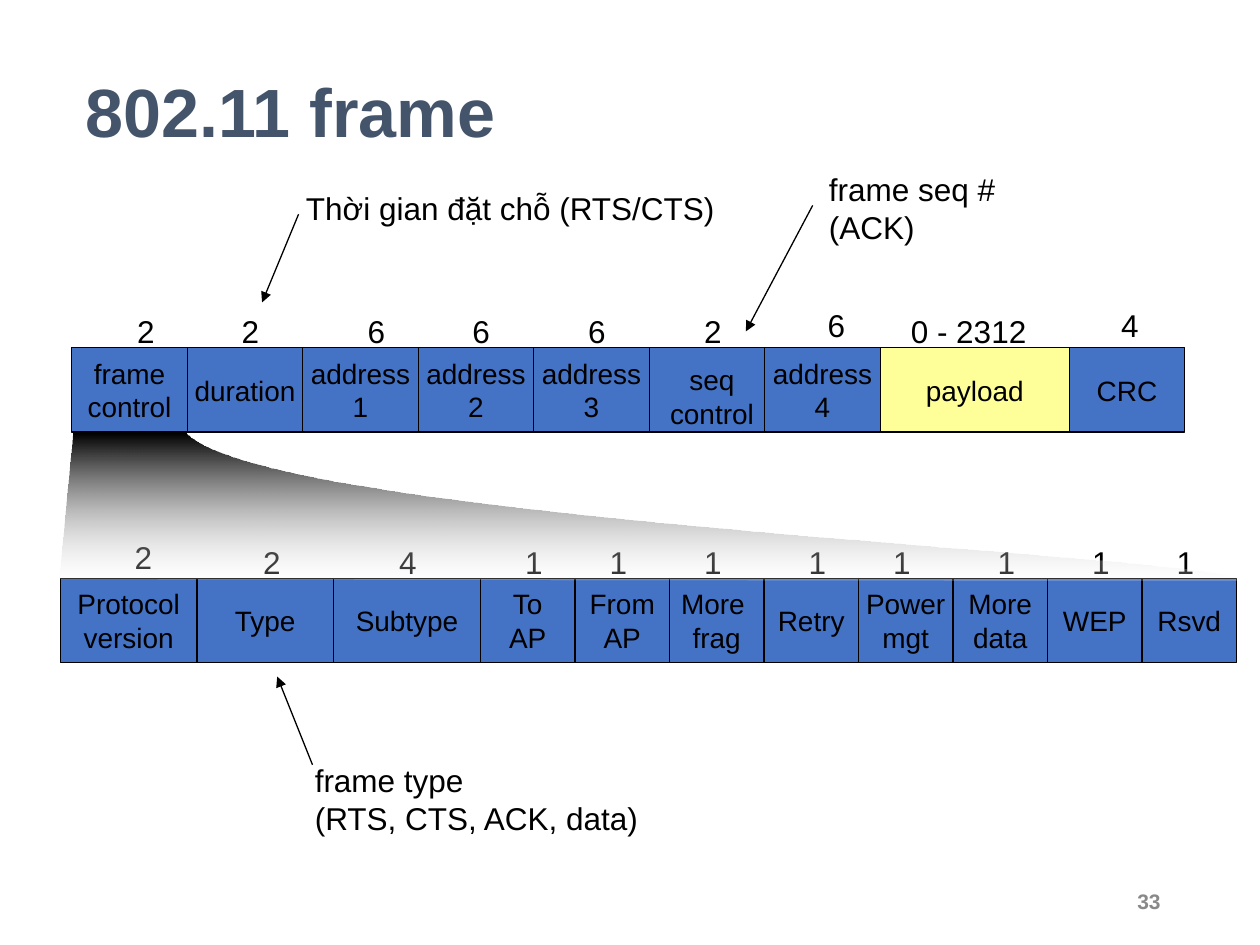
"""Build a slide on the fields of the 802.11 frame."""
from lxml import etree
from pptx import Presentation
from pptx import util as u
from pptx.dml.color import RGBColor
from pptx.enum import shapes, text
from pptx.oxml.ns import qn

Inches = u.Inches
BLUE, CREAM, BLACK = "4472C4", "FFFF99", "000000"
LEFT, MID, RIGHT = text.PP_ALIGN.LEFT, text.PP_ALIGN.CENTER, text.PP_ALIGN.RIGHT


def tint(code):
    return RGBColor.from_string(code)


def write(shape, words, size=18, align=LEFT, ink=BLACK, bold=False, wrap=False, anchor="TOP"):
    frame = shape.text_frame
    frame.text = words
    frame.word_wrap = wrap
    frame.vertical_anchor = text.MSO_ANCHOR[anchor]
    if anchor == "TOP":
        frame.auto_size = text.MSO_AUTO_SIZE.SHAPE_TO_FIT_TEXT
    for para in frame.paragraphs:
        para.alignment = align
        for run in para.runs:
            run.font.name = "Arial"
            run.font.size = u.Pt(size)
            run.font.bold = bold
            run.font.color.rgb = tint(ink)


deck = Presentation()
deck.slide_width, deck.slide_height = Inches(10), Inches(7.5)
slide = deck.slides.add_slide(deck.slide_layouts[6])

page = slide.shapes.add_textbox(Inches(7.06), Inches(6.95), Inches(2.25), Inches(0.4))
write(page, "33", 12, RIGHT, "898989", True, True, "MIDDLE")

WIDE = 11 / 12
frame_row = [
    ("frame\ncontrol", WIDE, "2", 0.99, 2.43),
    ("duration", WIDE, "2", 1.82, 2.43),
    ("address\n1", WIDE, "6", 2.82, 2.43),
    ("address\n2", WIDE, "6", 3.65, 2.43),
    ("address\n3", WIDE, "6", 4.57, 2.43),
    ("", WIDE, "2", 5.49, 2.43),
    ("address\n4", WIDE, "6", 6.47, 2.38),
    ("payload", 1.5, "0 - 2312", 7.13, 2.43),
    ("CRC", WIDE, "4", 8.8, 2.38),
]
control_row = [
    ("Protocol\nversion", 13 / 12, "2", 0.97, 4.22),
    ("Type", 13 / 12, "2", 1.99, 4.26),
    ("Subtype", 14 / 12, "4", 3.07, 4.26),
    ("To\nAP", 0.75, "1", 4.07, 4.26),
    ("From\nAP", 0.75, "1", 4.74, 4.26),
    ("More \nfrag", 0.75, "1", 5.49, 4.26),
    ("Retry", 0.75, "1", 6.32, 4.26),
    ("Power\nmgt", 0.75, "1", 6.99, 4.26),
    ("More\ndata", 0.75, "1", 7.82, 4.26),
    ("WEP", 0.75, "1", 8.57, 4.26),
    ("Rsvd", 0.75, "1", 9.24, 4.26),
]
for left, top, row in [(0.57, 2.76, frame_row), (0.48, 4.59, control_row)]:
    group = slide.shapes.add_group_shape()
    for name, width, size, x, y in row:
        cell = group.shapes.add_shape(
            shapes.MSO_SHAPE.RECTANGLE, Inches(left), Inches(top), Inches(width), Inches(0.67))
        cell.shadow.inherit = False
        cell.fill.solid()
        cell.fill.fore_color.rgb = tint(CREAM if name == "payload" else BLUE)
        cell.line.color.rgb = tint(BLACK)
        cell.line.width = u.Pt(0.75)
        if name:
            write(cell, name, 16, MID, anchor="MIDDLE")
        else:
            label = group.shapes.add_textbox(Inches(5.19), Inches(2.83), Inches(0.92), Inches(0.64))
            write(label, "seq\ncontrol", 16, MID)
        count = group.shapes.add_textbox(
            Inches(x), Inches(y), Inches(1.15 if len(size) > 1 else 0.34), Inches(0.4))
        write(count, size)
        left += width

pen = slide.shapes.build_freeform(58, 344, scale=Inches(0.01))
pen.add_line_segments([(47, 459), (983, 461), (1000, 441), (216, 415), (148, 344)])
fan = pen.convert_to_shape()
lines = list(fan.element.iter(qn("a:lnTo")))[2:5]
curve = etree.Element(qn("a:cubicBezTo"))
lines[0].addprevious(curve)
for line in lines:
    curve.append(line[0])
    line.getparent().remove(line)
fan.shadow.inherit = False
fan.line.fill.background()
fan.fill.gradient()
fan.fill.gradient_angle = 270
for stop, code, spot in zip(fan.fill.gradient_stops, (BLACK, "FFFFFF"), (0, 1)):
    stop.color.rgb = tint(code)
    stop.position = spot
fade = list(fan.element.spPr.iter(qn("a:srgbClr")))[-1]
etree.SubElement(fade, qn("a:alpha")).set("val", "18000")

title = slide.shapes.add_textbox(Inches(0.58), Inches(0.25), Inches(8.5), Inches(1.25))
write(title, "802.11 frame", 39, ink="44546A", bold=True, wrap=True, anchor="MIDDLE")

notes = [
    ("Thời gian đặt chỗ (RTS/CTS)", 2.33, 1.45, 3.45, 0.4, (2.37, 1.7, 2.08, 2.4)),
    ("frame seq #\n(ACK)", 6.48, 1.3, 1.52, 0.7, (6.45, 1.63, 5.92, 2.63)),
    ("frame type\n(RTS, CTS, ACK, data)", 2.4, 5.99, 2.78, 0.7, (2.48, 6.07, 2.2, 5.37)),
]
for words, x, y, width, height, ends in notes:
    note = slide.shapes.add_textbox(Inches(x), Inches(y), Inches(width), Inches(height))
    write(note, words)
    arrow = slide.shapes.add_connector(shapes.MSO_CONNECTOR.STRAIGHT, *map(Inches, ends))
    arrow.line.color.rgb = tint(BLACK)
    arrow.line.width = u.Pt(0.75)
    etree.SubElement(arrow.line._get_or_add_ln(), qn("a:tailEnd")).set("type", "triangle")
    etree.SubElement(arrow.element.spPr, qn("a:effectLst"))

deck.save("out.pptx")
